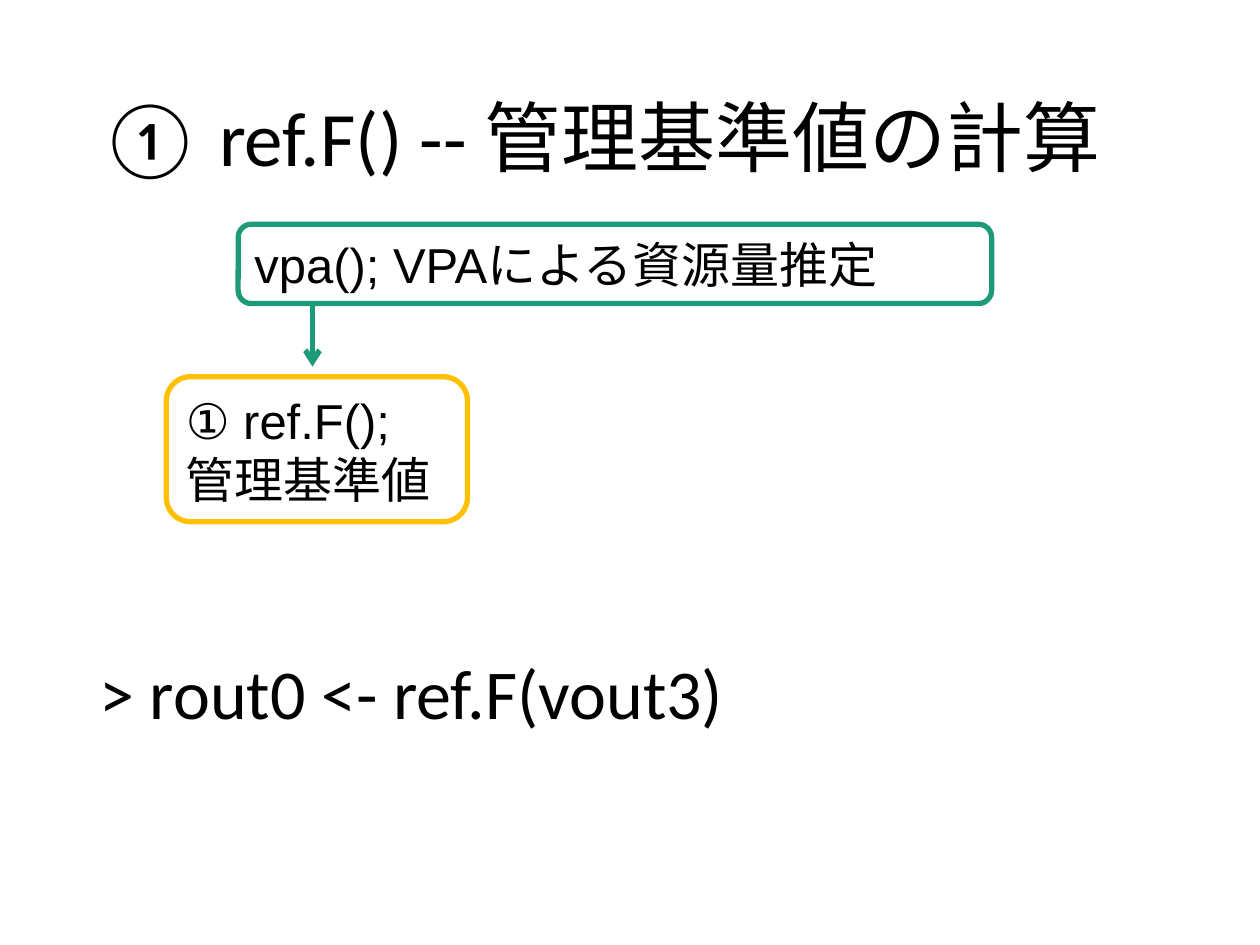
"""Build the slide that introduces ref.F() and its place after vpa()."""
from dataclasses import dataclass

from lxml import etree
from pptx import Presentation
from pptx.dml.color import RGBColor
from pptx.enum.shapes import MSO_CONNECTOR, MSO_SHAPE
from pptx.enum.text import MSO_ANCHOR, PP_ALIGN
from pptx.oxml.ns import qn
from pptx.util import Inches, Pt

ROUND_RECT = MSO_SHAPE.ROUNDED_RECTANGLE
STRAIGHT = MSO_CONNECTOR.STRAIGHT
TOP, MIDDLE, LEFT = MSO_ANCHOR.TOP, MSO_ANCHOR.MIDDLE, PP_ALIGN.LEFT


@dataclass(frozen=True)
class Theme:
    black: RGBColor = RGBColor.from_string("000000")
    white: RGBColor = RGBColor.from_string("FFFFFF")
    green: RGBColor = RGBColor.from_string("1D9A78")
    amber: RGBColor = RGBColor.from_string("FFC000")
    heading: str = "Calibri"
    label: str = "Arial"
    title_size: int = 44
    code_size: int = 40
    label_size: int = 28
    line_width: int = 3


def set_text(sp, text, font, size, anchor, spacing=1.0):
    tf = sp.text_frame
    tf.word_wrap = True
    tf.vertical_anchor = anchor
    tf.text = text
    for p in tf.paragraphs:
        p.alignment = LEFT
        p.line_spacing = spacing
        for r in p.runs:
            r.font.name = font
            r.font.size = Pt(size)
            r.font.color.rgb = theme.black


theme = Theme()
prs = Presentation()
prs.slide_width, prs.slide_height = Inches(10), Inches(7.5)
s = prs.slides.add_slide(prs.slide_layouts[6])

headings = [
    ("① ref.F() -- 管理基準値の計算", (0.69, 0.4, 8.62, 1.45), theme.title_size, MIDDLE),
    ("> rout0 <- ref.F(vout3)", (0.69, 5.18, 9.12, 0.93), theme.code_size, TOP),
]
for text, box, size, anchor in headings:
    sp = s.shapes.add_textbox(*map(Inches, box))
    set_text(sp, text, theme.heading, size, anchor, 0.9)

arrow = s.shapes.add_connector(STRAIGHT, *map(Inches, (2.48, 2.28, 2.48, 2.91)))
arrow.line.color.rgb = theme.green
arrow.line.width = Pt(theme.line_width)
etree.SubElement(arrow.line._get_or_add_ln(), qn("a:tailEnd"), type="arrow")
etree.SubElement(arrow._element.spPr, qn("a:effectLst"))

steps = [
    ("vpa(); VPAによる資源量推定", (1.89, 1.78, 5.98, 0.63), theme.green),
    ("① ref.F();\n管理基準値", (1.32, 2.99, 2.39, 1.15), theme.amber),
]
for text, box, color in steps:
    sp = s.shapes.add_shape(ROUND_RECT, *map(Inches, box))
    sp.shadow.inherit = False
    sp.fill.solid()
    sp.fill.fore_color.rgb = theme.white
    sp.line.color.rgb = color
    sp.line.width = Pt(theme.line_width)
    set_text(sp, text, theme.label, theme.label_size, MIDDLE)

prs.save("out.pptx")
